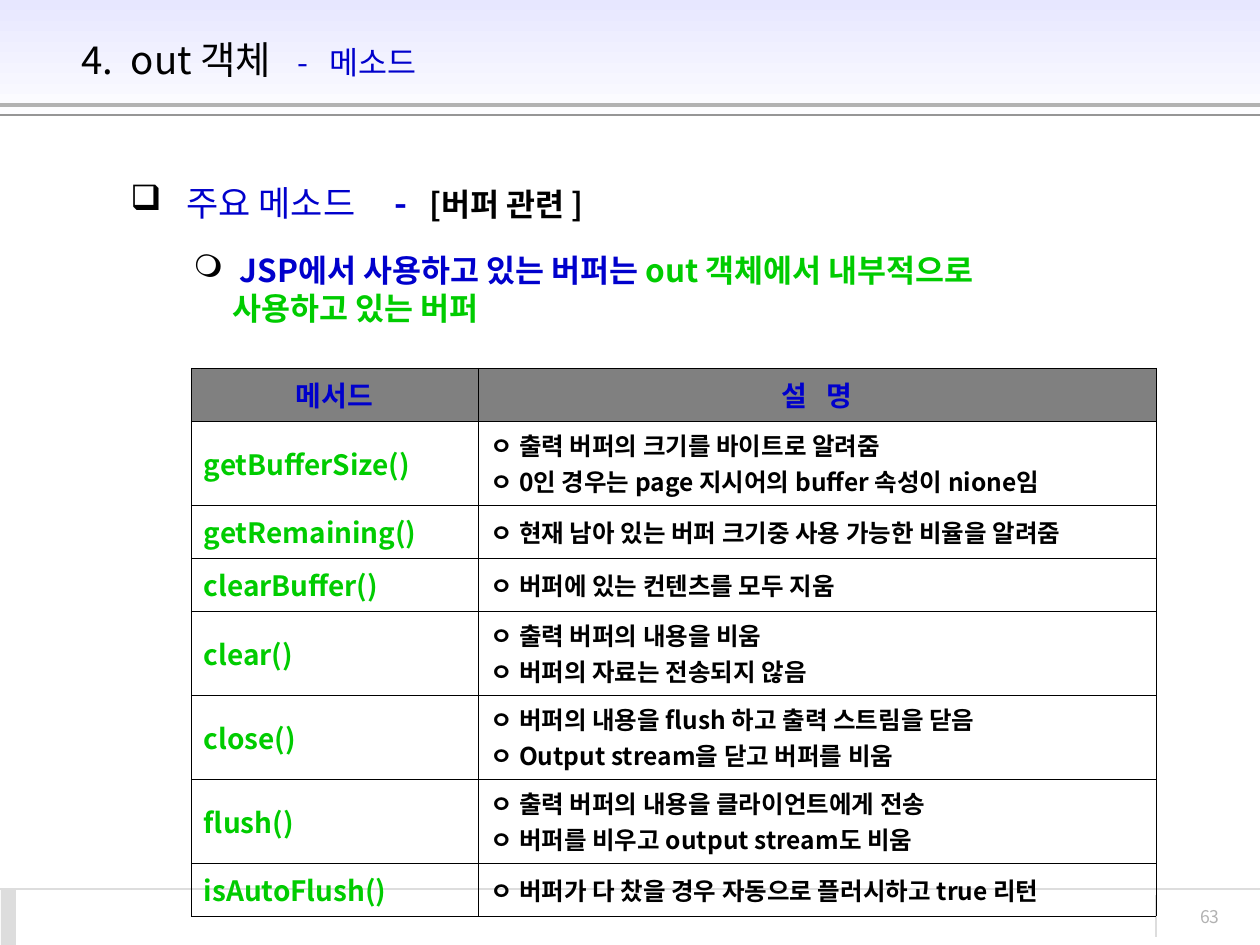
from typing import NamedTuple

from lxml import etree
from pptx import Presentation
from pptx.dml.color import RGBColor
from pptx.enum.shapes import MSO_CONNECTOR, MSO_SHAPE
from pptx.enum.text import MSO_ANCHOR, MSO_AUTO_SIZE, PP_ALIGN
from pptx.oxml import parse_xml
from pptx.oxml.ns import nsdecls, qn
from pptx.util import Pt

STRAIGHT = MSO_CONNECTOR.STRAIGHT
RECTANGLE = MSO_SHAPE.RECTANGLE
MIDDLE = MSO_ANCHOR.MIDDLE
NO_AUTOFIT = MSO_AUTO_SIZE.NONE
LEFT, CENTER, RIGHT, JUSTIFY = (
    PP_ALIGN.LEFT, PP_ALIGN.CENTER, PP_ALIGN.RIGHT, PP_ALIGN.JUSTIFY)

BLACK = RGBColor(0x00, 0x00, 0x00)
WHITE = RGBColor(0xFF, 0xFF, 0xFF)
BLUE = RGBColor(0x00, 0x00, 0xCC)
GREEN = RGBColor(0x00, 0xCC, 0x00)
LAVENDER = RGBColor(0xE7, 0xE7, 0xFF)
HEADER_GRAY = RGBColor(0x80, 0x80, 0x80)
RULE_GRAY = RGBColor(0x96, 0x96, 0x96)
SILVER = RGBColor(0xB2, 0xB2, 0xB2)
PALE_GRAY = RGBColor(0xDD, 0xDD, 0xDD)

FONT = "Noto Sans CJK KR"
PX_PER_INCH = 126


def px(length: int) -> int:
    return round(length * 914400 / PX_PER_INCH)


class Rule(NamedTuple):
    x1: int
    y1: int
    x2: int
    y2: int
    color: RGBColor
    weight: float


class Run(NamedTuple):
    text: str
    size: int
    color: RGBColor
    bold: bool = False


class Point(NamedTuple):
    bullet: str
    margin: int
    indent: int
    space_after: float
    runs: list[Run]


class Method(NamedTuple):
    name: str
    notes: list[str]


RULES = [
    Rule(0, 105, 1260, 105, SILVER, 2.25),
    Rule(0, 115, 1260, 115, RULE_GRAY, 0.75),
    Rule(0, 889, 1260, 889, PALE_GRAY, 0.75),
    Rule(1156, 895, 1156, 937, PALE_GRAY, 0.75),
]
TITLE = [Run("4.  out 객체   ", 22, BLACK), Run("-   메소드", 18, BLUE)]
POINTS = [
    Point("❑", 48, -48, 11.2, [
        Run(" 주요 메소드     ", 20, BLUE),
        Run("-", 20, BLUE, True),
        Run("   [버퍼 관련 ]", 18, BLACK, True)]),
    Point("❍", 102, -39, 0, [
        Run(" ", 18, BLACK, True),
        Run("JSP에서 사용하고 있는 버퍼는 ", 18, BLUE, True),
        Run("out 객체에서 내부적으로 사용하고 있는 버퍼", 18, GREEN, True)]),
]
HEADERS = ["메서드", "설   명"]
METHODS = [
    Method("getBufferSize()", ["출력 버퍼의 크기를 바이트로 알려줌",
                               "0인 경우는 page 지시어의 buffer 속성이 nione임"]),
    Method("getRemaining()", ["현재 남아 있는 버퍼 크기중 사용 가능한 비율을 알려줌"]),
    Method("clearBuffer()", ["버퍼에 있는 컨텐츠를 모두 지움"]),
    Method("clear()", ["출력 버퍼의 내용을 비움", "버퍼의 자료는 전송되지 않음"]),
    Method("close()", ["버퍼의 내용을 flush 하고 출력 스트림을 닫음",
                       "Output stream을 닫고 버퍼를 비움"]),
    Method("flush()", ["출력 버퍼의 내용을 클라이언트에게 전송",
                       "버퍼를 비우고 output stream도 비움"]),
    Method("isAutoFlush()", ["버퍼가 다 찼을 경우 자동으로 플러시하고 true 리턴"]),
]
COLUMN_WIDTHS = [287, 678]
ROW_HEIGHTS = {1: 53, 2: 84}  # by number of notes


def add_runs(paragraph, runs: list[Run], align=LEFT) -> None:
    paragraph.alignment = align
    for item in runs:
        run = paragraph.add_run()
        run.text = item.text
        font = run.font
        font.size, font.bold, font.name = Pt(item.size), item.bold, FONT
        font.color.rgb = item.color


def add_bullet(paragraph, point: Point) -> None:
    properties = paragraph._p.get_or_add_pPr()
    properties.set("marL", str(px(point.margin)))
    properties.set("indent", str(px(point.indent)))
    color = etree.SubElement(properties, qn("a:buClr"))
    etree.SubElement(color, qn("a:srgbClr")).set("val", str(BLACK))
    etree.SubElement(properties, qn("a:buChar")).set("char", point.bullet)


def add_text_frame(slide, x: int, y: int, w: int, h: int):
    frame = slide.shapes.add_textbox(px(x), px(y), px(w), px(h)).text_frame
    frame.word_wrap = True
    return frame


def add_block(slide, x: int, y: int, w: int, h: int):
    block = slide.shapes.add_shape(RECTANGLE, px(x), px(y), px(w), px(h))
    block.shadow.inherit = False
    block.line.fill.background()
    return block


def add_rule(slide, rule: Rule) -> None:
    line = slide.shapes.add_connector(
        STRAIGHT, px(rule.x1), px(rule.y1), px(rule.x2), px(rule.y2))
    line.line.color.rgb = rule.color
    line.line.width = Pt(rule.weight)
    etree.SubElement(line._element.spPr, qn("a:effectLst"))


def fill_cell(cell, lines: list[Run], align, background=None) -> None:
    cell.vertical_anchor = MIDDLE
    cell.margin_left = cell.margin_right = px(13)
    cell.margin_top = cell.margin_bottom = px(6)
    for side in ("lnL", "lnR", "lnT", "lnB"):
        cell._tc.get_or_add_tcPr().append(parse_xml(
            f'<a:{side} {nsdecls("a")} w="{Pt(0.11)}"><a:solidFill>'
            f'<a:srgbClr val="{BLACK}"/></a:solidFill></a:{side}>'))
    if background is None:
        cell.fill.background()
    else:
        cell.fill.solid()
        cell.fill.fore_color.rgb = background
    frame = cell.text_frame
    for i, line in enumerate(lines):
        paragraph = frame.add_paragraph() if i else frame.paragraphs[0]
        add_runs(paragraph, [line], align)


def add_method_table(slide) -> None:
    heights = [ROW_HEIGHTS[1]] + [ROW_HEIGHTS[len(m.notes)] for m in METHODS]
    table = slide.shapes.add_table(
        len(heights), len(COLUMN_WIDTHS), px(191), px(368),
        px(sum(COLUMN_WIDTHS)), px(sum(heights))).table
    table.first_row = table.horz_banding = False
    for column, width in zip(table.columns, COLUMN_WIDTHS):
        column.width = px(width)
    for row, height in zip(table.rows, heights):
        row.height = px(height)
    for i, header in enumerate(HEADERS):
        fill_cell(table.cell(0, i), [Run(header, 16, BLUE, True)], CENTER, HEADER_GRAY)
    for i, method in enumerate(METHODS, start=1):
        notes = [Run(f"ㅇ {note}", 14, BLACK, True) for note in method.notes]
        fill_cell(table.cell(i, 0), [Run(method.name, 16, GREEN, True)], LEFT)
        fill_cell(table.cell(i, 1), notes, JUSTIFY)


def main() -> None:
    deck = Presentation()
    deck.slide_width, deck.slide_height = px(1260), px(945)
    slide = deck.slides.add_slide(deck.slide_layouts[5])

    # Header band, rules and footer
    band = add_block(slide, 0, 0, 1260, 126)
    band.fill.gradient()
    band.fill.gradient_angle = 270
    for stop, color in zip(band.fill.gradient_stops, (LAVENDER, WHITE)):
        stop.color.rgb = color
    for rule in RULES:
        add_rule(slide, rule)
    footer_block = add_block(slide, 1, 889, 15, 56)
    footer_block.fill.solid()
    footer_block.fill.fore_color.rgb = PALE_GRAY
    page_number = add_text_frame(slide, 1116, 900, 116, 42)
    add_runs(page_number.paragraphs[0], [Run("63", 10, SILVER)], RIGHT)

    # Title, brought in front of the band
    title = slide.shapes.title
    title.left, title.top, title.width, title.height = px(69), px(16), px(1087), px(86)
    title.text_frame.auto_size = NO_AUTOFIT
    title.text_frame.vertical_anchor = MIDDLE
    add_runs(title.text_frame.paragraphs[0], TITLE)
    title.element.getparent().append(title.element)

    # Bulleted points
    body = add_text_frame(slide, 118, 175, 958, 624)
    for i, point in enumerate(POINTS):
        paragraph = body.add_paragraph() if i else body.paragraphs[0]
        paragraph.level = i
        paragraph.space_before = Pt(4.5)
        paragraph.space_after = Pt(point.space_after)
        add_bullet(paragraph, point)
        add_runs(paragraph, point.runs)

    add_method_table(slide)
    deck.save("out.pptx")


if __name__ == "__main__":
    main()
